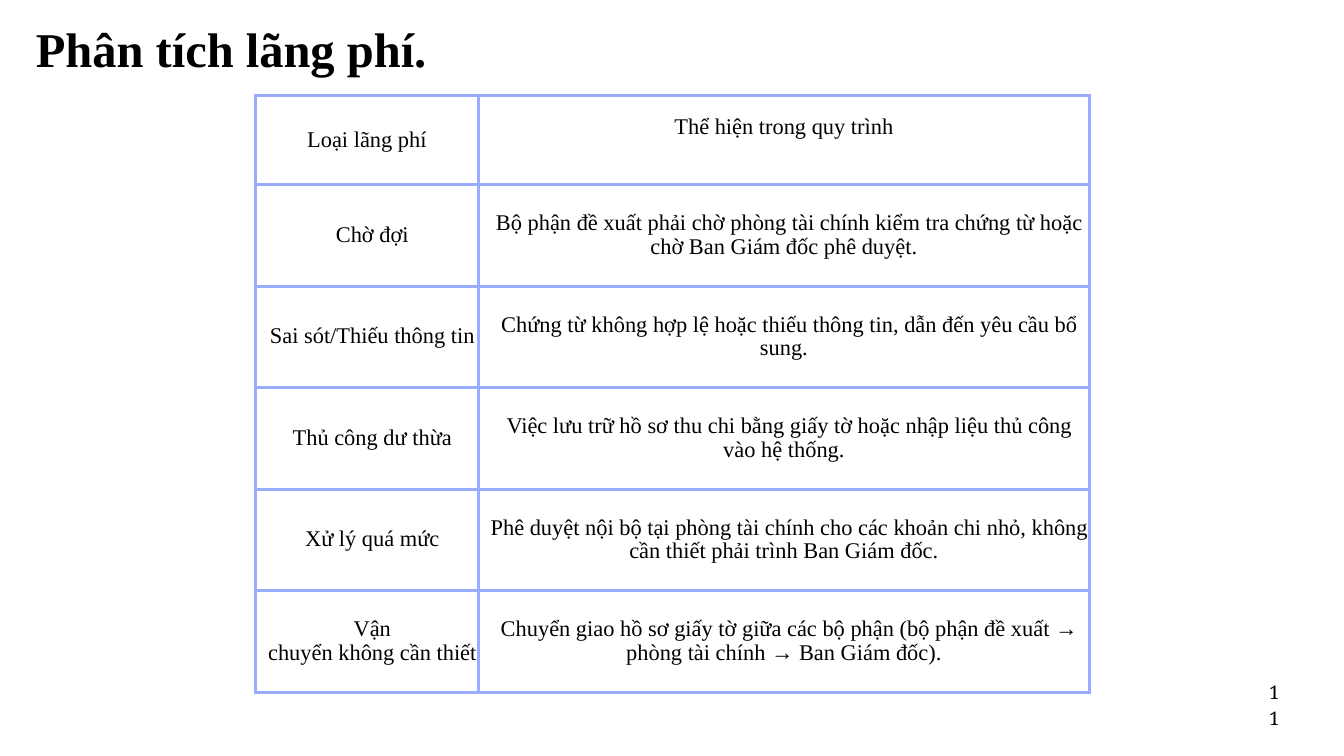
from lxml import etree
from pptx import Presentation
from pptx.dml.color import RGBColor
from pptx.enum.text import MSO_ANCHOR, MSO_AUTO_SIZE, PP_ALIGN
from pptx.oxml.ns import qn
from pptx.util import Inches, Pt

CENTER = PP_ALIGN.CENTER
TOP = MSO_ANCHOR.TOP
MIDDLE = MSO_ANCHOR.MIDDLE
NO_AUTOFIT = MSO_AUTO_SIZE.NONE
BLACK = RGBColor(0x00, 0x00, 0x00)
BORDER = RGBColor(0x99, 0xAC, 0xFF)
SERIF = "Times New Roman"

COLUMN_WIDTHS = [3.32, 9.09]
HEADER_HEIGHT = 1.33
ROW_HEIGHT = 1.51
ROWS = [
    ("Loại lãng phí", "Thể hiện trong quy trình"),
    ("Chờ đợi",
     "Bộ phận đề xuất phải chờ phòng tài chính kiểm tra chứng từ hoặc chờ Ban Giám đốc phê duyệt."),
    ("Sai sót/Thiếu thông tin",
     "Chứng từ không hợp lệ hoặc thiếu thông tin, dẫn đến yêu cầu bổ sung."),
    ("Thủ công dư thừa",
     "Việc lưu trữ hồ sơ thu chi bằng giấy tờ hoặc nhập liệu thủ công vào hệ thống."),
    ("Xử lý quá mức",
     "Phê duyệt nội bộ tại phòng tài chính cho các khoản chi nhỏ, không cần thiết phải trình Ban Giám đốc."),
    ("Vận\nchuyển không cần thiết",
     "Chuyển giao hồ sơ giấy tờ giữa các bộ phận (bộ phận đề xuất → phòng tài chính → Ban Giám đốc)."),
]


def write(frame, text, font, size, spacing, bold=False):
    frame.text = text
    frame.margin_left = frame.margin_right = 0
    frame.margin_top = frame.margin_bottom = 0
    for para in frame.paragraphs:
        para.alignment = CENTER
        para.line_spacing = Pt(spacing)
        para.space_before = Pt(0)
        for span in para.runs:
            span.font.name = font
            span.font.size = Pt(size)
            span.font.bold = bold
            span.font.color.rgb = BLACK


def add_borders(cell):
    properties = cell._tc.get_or_add_tcPr()
    for position, side in enumerate(("lnL", "lnR", "lnT", "lnB")):
        line = etree.Element(qn(f"a:{side}"), w=str(Pt(3.75)))
        fill = etree.SubElement(line, qn("a:solidFill"))
        etree.SubElement(fill, qn("a:srgbClr"), val=str(BORDER))
        properties.insert(position, line)


deck = Presentation()
deck.slide_width = Inches(20)
deck.slide_height = Inches(11.25)
page = deck.slides.add_slide(deck.slide_layouts[5])

title = page.shapes.title
title.left, title.top = Inches(-0.42), Inches(0.14)
title.width, title.height = Inches(7.72), Inches(0.94)
write(title.text_frame, "Phân tích lãng phí.", SERIF, 52, 72.8, bold=True)
title.text_frame.vertical_anchor = TOP
title.text_frame.auto_size = NO_AUTOFIT

table_height = HEADER_HEIGHT + ROW_HEIGHT * (len(ROWS) - 1)
table = page.shapes.add_table(
    len(ROWS), len(COLUMN_WIDTHS), Inches(3.8), Inches(1.42),
    Inches(sum(COLUMN_WIDTHS)), Inches(table_height)).table
table.horz_banding = False
for column, width in zip(table.columns, COLUMN_WIDTHS):
    column.width = Inches(width)

for row_index, texts in enumerate(ROWS):
    table.rows[row_index].height = Inches(ROW_HEIGHT if row_index else HEADER_HEIGHT)
    for column_index, text in enumerate(texts):
        cell = table.cell(row_index, column_index)
        write(cell.text_frame, text, SERIF, 24, 25.2)
        cell.margin_left = cell.margin_right = 0
        cell.margin_top = cell.margin_bottom = 0
        cell.vertical_anchor = MIDDLE
        cell.fill.background()
        add_borders(cell)
        if row_index:
            for para in cell.text_frame.paragraphs:
                para._p.get_or_add_pPr().set("indent", str(Inches(0.16)))
table.cell(0, 1).margin_bottom = Inches(0.36)

number = page.shapes.add_textbox(Inches(18.88), Inches(10.07), Inches(0.17), Inches(0.22))
write(number.text_frame, "11", "Noto Serif", 20, 28)
number.text_frame.word_wrap = True

deck.save("out.pptx")
